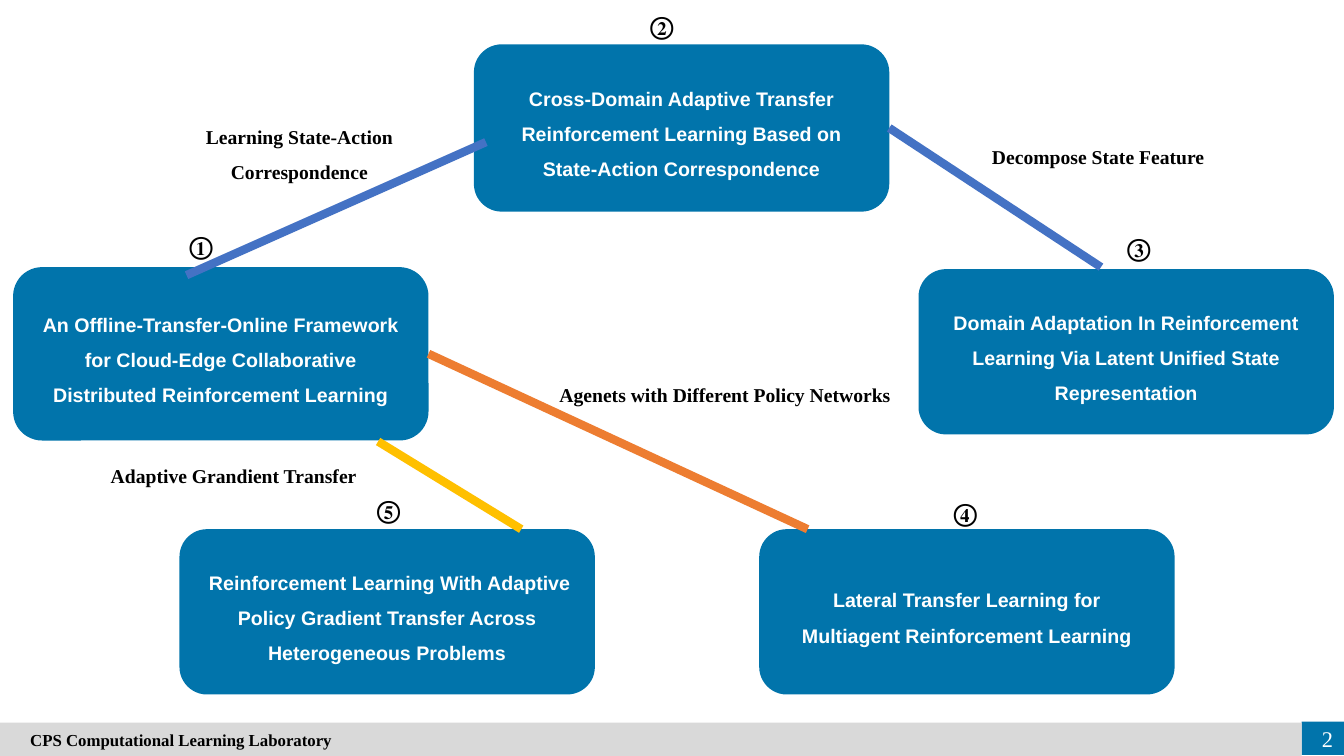
"""Build a slide that maps how five transfer reinforcement learning works relate."""
from dataclasses import dataclass

from lxml import etree
from pptx import Presentation
from pptx import util as u
from pptx.dml.color import RGBColor
from pptx.enum import shapes, text
from pptx.oxml.ns import qn

EMU_PER_PX = 9144
COLORS = {
    "panel": "0174AB",
    "footer": "D9D9D9",
    "blue": "4472C4",
    "orange": "ED7D31",
    "yellow": "FFC000",
    "black": "000000",
    "white": "FFFFFF",
}
SERIF = "Times New Roman"
SANS = "Arial"
BOX_WIDTH = 412
BADGE_SIZE = (45, 40)
RIGHT_SIDE = 3
LEFT = text.PP_ALIGN.LEFT
CENTER = text.PP_ALIGN.CENTER
RIGHT = text.PP_ALIGN.RIGHT


@dataclass(frozen=True)
class TextStyle:
    font: str
    size: int
    color: str
    bold: bool = True
    align: text.PP_ALIGN = LEFT
    spacing: float = 1.0
    middle: bool = False
    wrap: bool = True


@dataclass(frozen=True)
class Work:
    number: str
    left: int
    top: int
    height: int
    lines: tuple[str, ...]


@dataclass(frozen=True)
class Label:
    left: int
    top: int
    width: int
    height: int
    lines: tuple[str, ...]
    style: TextStyle


@dataclass(frozen=True)
class Link:
    start: tuple[int, int]
    end: tuple[int, int]
    color: str
    start_work: str = ""
    end_work: str = ""


BOX_STYLE = TextStyle(SANS, 14, "white", align=CENTER, spacing=1.5, middle=True)
LABEL_STYLE = TextStyle(SERIF, 14, "black")
CENTERED_LABEL_STYLE = TextStyle(SERIF, 14, "black", align=CENTER, spacing=1.5)
BADGE_STYLE = TextStyle(SERIF, 18, "black", wrap=False)
FOOTER_STYLE = TextStyle(SERIF, 12, "black", middle=True)
PAGE_STYLE = TextStyle(SERIF, 16, "white", bold=False, align=RIGHT, middle=True)

WORKS = (
    Work("①", 13, 265, 172, (
        "An Offline-Transfer-Online Framework for Cloud-Edge Collaborative "
        "Distributed Reinforcement Learning",)),
    Work("②", 470, 44, 166, (
        "Cross-Domain Adaptive Transfer Reinforcement Learning Based on "
        "State-Action Correspondence",)),
    Work("③", 911, 267, 164, (
        "Domain Adaptation In Reinforcement Learning Via Latent Unified State "
        "Representation",)),
    Work("④", 753, 525, 164, (
        "Lateral Transfer Learning for", "Multiagent Reinforcement Learning")),
    Work("⑤", 178, 525, 164, (
        " Reinforcement Learning With Adaptive Policy Gradient Transfer Across "
        "Heterogeneous Problems",)),
)
BADGES = {"①": (178, 224), "②": (635, 5), "③": (1108, 226), "④": (936, 488), "⑤": (364, 485)}
LINKS = (
    Link((482, 141), (185, 273), "blue"),
    Link((425, 351), (801, 525), "orange", start_work="①"),
    Link((517, 525), (375, 438), "yellow"),
    Link((1092, 265), (882, 127), "blue", end_work="②"),
)
LABELS = (
    Label(60, 107, 474, 81, ("Learning State-Action", "Correspondence"), CENTERED_LABEL_STYLE),
    Label(545, 375, 365, 34, ("Agenets with Different Policy Networks",), LABEL_STYLE),
    Label(100, 455, 287, 34, ("Adaptive Grandient Transfer",), LABEL_STYLE),
    Label(974, 139, 332, 54, ("Decompose State Feature",), LABEL_STYLE),
)


def px(length: int) -> u.Emu:
    """Turn px into EMU."""
    return u.Emu(length * EMU_PER_PX)


def rgb(name: str) -> RGBColor:
    """Look up a named colour."""
    return RGBColor.from_string(COLORS[name])


def write_text(shape, lines: tuple[str, ...], style: TextStyle) -> None:
    """Fill a shape with one paragraph per line."""
    frame = shape.text_frame
    frame.word_wrap = style.wrap
    frame.vertical_anchor = text.MSO_ANCHOR.MIDDLE if style.middle else text.MSO_ANCHOR.TOP
    for index, line in enumerate(lines):
        paragraph = frame.add_paragraph() if index else frame.paragraphs[0]
        paragraph.alignment = style.align
        paragraph.line_spacing = style.spacing
        run = paragraph.add_run()
        run.text = line
        run.font.name = style.font
        run.font.size = u.Pt(style.size)
        run.font.bold = style.bold
        run.font.color.rgb = rgb(style.color)


def add_panel(slide, kind: shapes.MSO_SHAPE, bounds: tuple[int, int, int, int], color: str):
    """Add a filled shape without outline or shadow."""
    shape = slide.shapes.add_shape(kind, *map(px, bounds))
    shape.shadow.inherit = False
    shape.fill.solid()
    shape.fill.fore_color.rgb = rgb(color)
    shape.line.fill.background()
    return shape


def add_label(slide, label: Label) -> None:
    """Add a text box."""
    bounds = (label.left, label.top, label.width, label.height)
    write_text(slide.shapes.add_textbox(*map(px, bounds)), label.lines, label.style)


def add_work(slide, work: Work):
    """Add the rounded box of one work."""
    bounds = (work.left, work.top, BOX_WIDTH, work.height)
    shape = add_panel(slide, shapes.MSO_SHAPE.ROUNDED_RECTANGLE, bounds, "panel")
    write_text(shape, work.lines, BOX_STYLE)
    return shape


def add_link(slide, link: Link, boxes: dict) -> None:
    """Add a thick line, joined to a box where it meets the middle of its side."""
    connector = slide.shapes.add_connector(
        shapes.MSO_CONNECTOR.STRAIGHT, *map(px, link.start + link.end))
    connector.line.color.rgb = rgb(link.color)
    connector.line.width = u.Pt(6)
    etree.SubElement(connector._element.spPr, qn("a:effectLst"))
    if link.start_work:
        connector.begin_connect(boxes[link.start_work], RIGHT_SIDE)
    if link.end_work:
        connector.end_connect(boxes[link.end_work], RIGHT_SIDE)


def add_footer(slide) -> None:
    """Add the footer bar and the page number."""
    rectangle = shapes.MSO_SHAPE.RECTANGLE
    add_panel(slide, rectangle, (1291, 716, 42, 33), "panel")
    footer = add_panel(slide, rectangle, (0, 717, 1291, 33), "footer")
    footer.text_frame.margin_left = px(30)
    write_text(footer, ("CPS Computational Learning Laboratory",), FOOTER_STYLE)
    add_label(slide, Label(1269, 713, 63, 40, ("2",), PAGE_STYLE))


def main() -> None:
    """Build and save the slide."""
    presentation = Presentation()
    presentation.slide_width = px(1333)
    presentation.slide_height = px(750)
    slide = presentation.slides.add_slide(presentation.slide_layouts[6])
    add_footer(slide)
    for number, position in BADGES.items():
        add_label(slide, Label(*position, *BADGE_SIZE, (number,), BADGE_STYLE))
    boxes = {work.number: add_work(slide, work) for work in WORKS}
    for link in LINKS:
        add_link(slide, link, boxes)
    for label in LABELS:
        add_label(slide, label)
    presentation.save("out.pptx")


if __name__ == "__main__":
    main()
